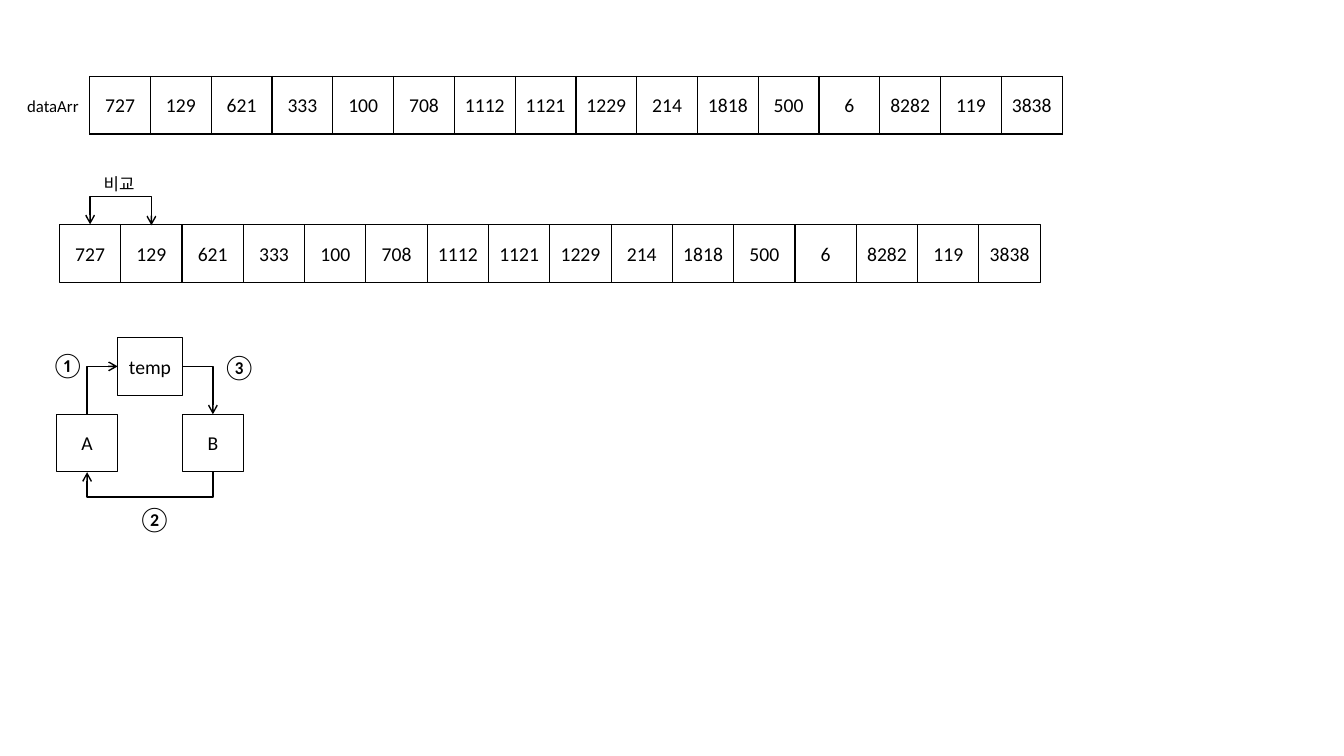
"""Build a slide showing an array, the comparison of two neighbours and a swap through temp."""
from lxml.etree import SubElement
from pptx import Presentation
from pptx.dml.color import RGBColor
from pptx.enum.shapes import MSO_CONNECTOR, MSO_SHAPE
from pptx.enum.text import MSO_ANCHOR, PP_ALIGN
from pptx.oxml.ns import qn
from pptx.util import Inches, Pt

BLACK = RGBColor(0x00, 0x00, 0x00)
WHITE = RGBColor(0xFF, 0xFF, 0xFF)
FONT = "Calibri"
VALUES = [727, 129, 621, 333, 100, 708, 1112, 1121,
          1229, 214, 1818, 500, 6, 8282, 119, 3838]
COLUMN, ROW = 0.608, 0.57
LIST_LEFT, LIST_TOP = 0.59, 2.23
SWAP_LEFT, SWAP_TOP = 0.56, 4.11
TEMP_WIDTH, TEMP_TOP = 0.64, 3.35
TOP, LEFT, BOTTOM, RIGHT = range(4)


def write(frame, text, size, align):
    para = frame.paragraphs[0]
    para.alignment = align
    span = para.add_run()
    span.text = text
    span.font.name = FONT
    span.font.size = Pt(size)
    span.font.color.rgb = BLACK


deck = Presentation()
deck.slide_width, deck.slide_height = Inches(13.33), Inches(7.5)
page = deck.slides.add_slide(deck.slide_layouts[6])

array = page.shapes.add_table(1, len(VALUES), Inches(0.89), Inches(0.76),
                              Inches(9.65), Inches(ROW)).table
array.first_row = array.horz_banding = False
for index, value in enumerate(VALUES):
    cell = array.cell(0, index)
    cell.margin_left = cell.margin_right = 0
    cell.vertical_anchor = MSO_ANCHOR.MIDDLE
    write(cell.text_frame, str(value), 14, PP_ALIGN.CENTER)
    properties = cell._tc.get_or_add_tcPr()
    for side in ("lnL", "lnR", "lnT", "lnB"):
        border = SubElement(properties, qn(f"a:{side}"), w=str(Pt(1)))
        SubElement(SubElement(border, qn("a:solidFill")), qn("a:srgbClr"), val=str(BLACK))
    cell.fill.solid()
    cell.fill.fore_color.rgb = WHITE

box_places = [(str(value), LIST_LEFT + index * COLUMN, LIST_TOP, COLUMN)
              for index, value in enumerate(VALUES)]
temp_left = SWAP_LEFT + COLUMN
box_places += [("A", SWAP_LEFT, SWAP_TOP, COLUMN),
               ("B", temp_left + TEMP_WIDTH, SWAP_TOP, COLUMN),
               ("temp", temp_left, TEMP_TOP, TEMP_WIDTH)]
boxes = {}
for text, left, top, width in box_places:
    box = page.shapes.add_shape(MSO_SHAPE.RECTANGLE, Inches(left), Inches(top),
                                Inches(width), Inches(ROW))
    box.shadow.inherit = False
    box.fill.solid()
    box.fill.fore_color.rgb = WHITE
    box.line.color.rgb = BLACK
    box.line.width = Pt(0.75)
    frame = box.text_frame
    frame.margin_left = frame.margin_right = 0
    frame.vertical_anchor = MSO_ANCHOR.MIDDLE
    write(frame, text, 14, PP_ALIGN.CENTER)
    boxes[text] = box

# start, site, end, site, preset, quarter turn, flips, bend depth, arrow ends
elbows = [
    ("727", TOP, "129", TOP, "bentConnector3", True, ["flipV"], -0.28, ["headEnd", "tailEnd"]),
    ("A", TOP, "temp", LEFT, "bentConnector2", True, ["flipH", "flipV"], None, ["tailEnd"]),
    ("B", BOTTOM, "A", BOTTOM, "bentConnector3", True, [], 0.26, ["tailEnd"]),
    ("temp", RIGHT, "B", TOP, "bentConnector2", False, [], None, ["tailEnd"]),
]
THIN = Inches(0.01)
for start, start_site, end, end_site, preset, turned, flips, depth, arrows in elbows:
    elbow = page.shapes.add_connector(MSO_CONNECTOR.ELBOW, 0, 0, 0, 0)
    elbow.begin_connect(boxes[start], start_site)
    elbow.end_connect(boxes[end], end_site)
    elbow.line.color.rgb = BLACK
    elbow.line.width = Pt(1)
    middle_x = (elbow.begin_x + elbow.end_x) // 2
    middle_y = (elbow.begin_y + elbow.end_y) // 2
    width, height = elbow.width, elbow.height
    if turned:
        width, height = max(height, THIN), width
    elbow.left, elbow.top = middle_x - width // 2, middle_y - height // 2
    elbow.width, elbow.height = width, height
    properties = elbow._element.spPr
    frame = properties.find(qn("a:xfrm"))
    for flip in ("flipH", "flipV"):
        frame.set(flip, str(int(flip in flips)))
    frame.set("rot", str(90 * 60000 * turned))
    geometry = properties.find(qn("a:prstGeom"))
    geometry.set("prst", preset)
    if depth is not None:
        bend = round(Inches(depth) / width * 100000)
        SubElement(geometry.find(qn("a:avLst")), qn("a:gd"), name="adj1", fmla=f"val {bend}")
    outline = properties.find(qn("a:ln"))
    for arrow in arrows:
        SubElement(outline, qn(f"a:{arrow}"), type="arrow")
    SubElement(properties, qn("a:effectLst"))

labels = [("비교", 0.93, 1.67, 0.54, 0.29, 12), ("dataArr", 0.17, 0.9, 0.72, 0.29, 12),
          ("②", 1.27, 4.94, 0.45, 0.4, 18), ("①", 0.41, 3.42, 0.45, 0.4, 18),
          ("③", 2.11, 3.44, 0.45, 0.4, 18)]
for text, left, top, width, height, size in labels:
    label = page.shapes.add_textbox(Inches(left), Inches(top), Inches(width), Inches(height))
    label.text_frame.word_wrap = False
    write(label.text_frame, text, size, PP_ALIGN.LEFT)

deck.save("out.pptx")
